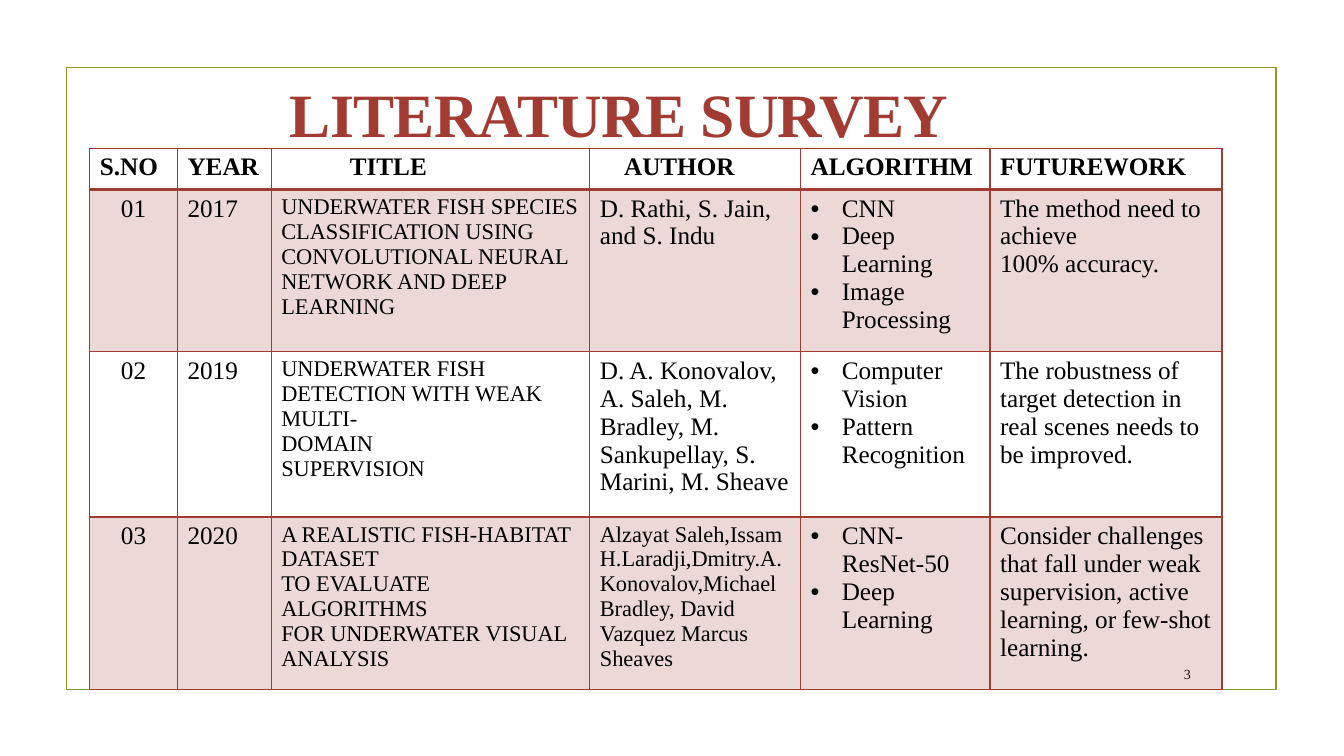
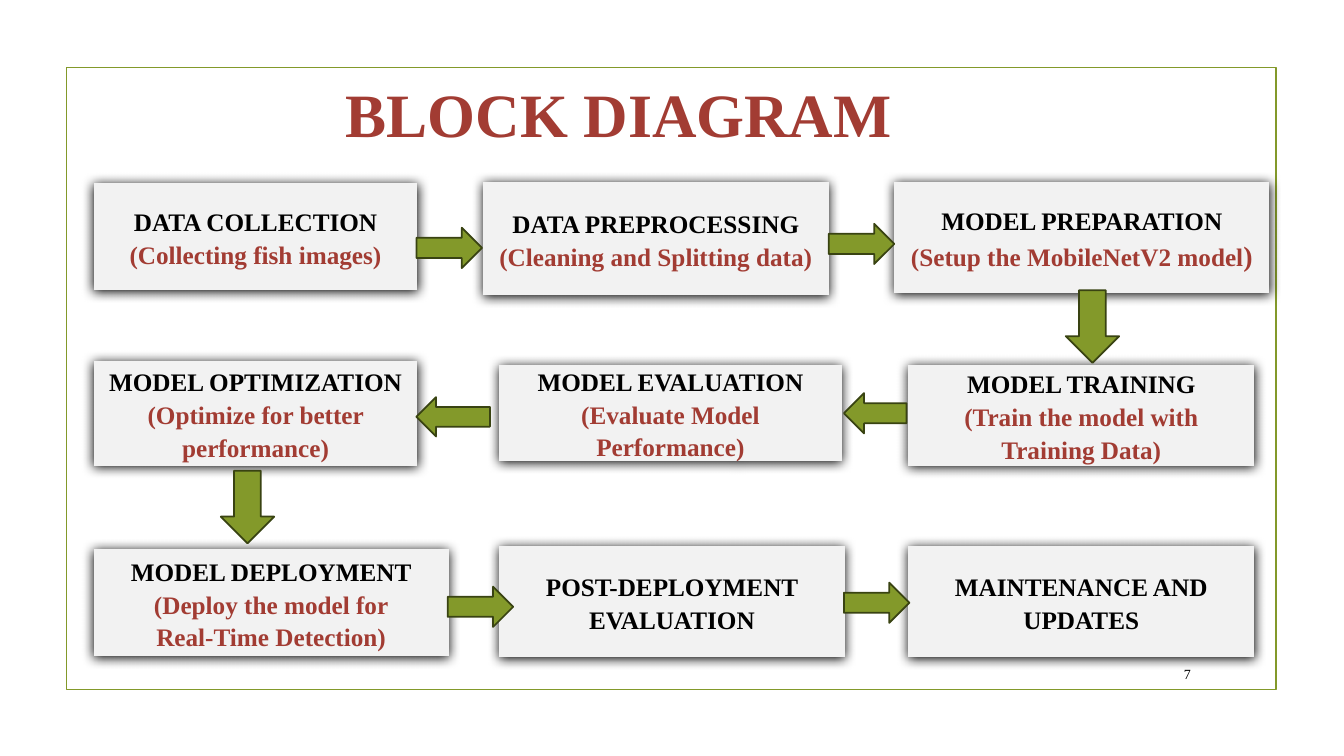
from dataclasses import dataclass

import lxml.etree
import pptx
import pptx.dml.color
import pptx.enum.shapes
import pptx.enum.text
import pptx.oxml.ns
import pptx.util

Inches = pptx.util.Inches
Pt = pptx.util.Pt
qn = pptx.oxml.ns.qn
Shape = pptx.enum.shapes.MSO_SHAPE
Align = pptx.enum.text.PP_ALIGN
Anchor = pptx.enum.text.MSO_ANCHOR

FONT = "Times New Roman"
RED, GREEN, DARK_GREEN = "A23C33", "83992A", "394312"
GREY, BLACK = "F2F2F2", "000000"


@dataclass(frozen=True)
class Column:
    heading: str
    width: float
    size: int = 18
    heading_indent: float = 0
    align: Align = Align.LEFT
    bullet: bool = False


@dataclass(frozen=True)
class Step:
    at: tuple[float, float, float, float]
    name: str
    details: tuple[str, ...] = ()
    closing: str = ""


@dataclass(frozen=True)
class Arrow:
    kind: Shape
    at: tuple[float, float, float, float]


COLUMNS = [
    Column("S.NO", 0.87, align=Align.CENTER),
    Column("YEAR", 0.93),
    Column("TITLE", 3.16, size=16, heading_indent=0.68),
    Column("AUTHOR", 2.09, heading_indent=0.24),
    Column("ALGORITHM", 1.88, bullet=True),
    Column("FUTUREWORK", 2.3),
]
ROW_HEIGHTS = [0.41, 1.61, 1.64, 1.71]
LONG_AUTHOR_LIST = 80
# Each line of a cell is a paragraph.
PAPERS = [
    ("01", "2017",
     "UNDERWATER FISH SPECIES CLASSIFICATION USING CONVOLUTIONAL NEURAL NETWORK AND DEEP LEARNING",
     "D. Rathi, S. Jain, and S. Indu",
     "CNN\nDeep Learning\nImage Processing",
     "The method need to achieve\n100% accuracy."),
    ("02", "2019",
     "UNDERWATER FISH DETECTION WITH WEAK MULTI-\nDOMAIN\nSUPERVISION",
     "D. A. Konovalov, A. Saleh, M. Bradley, M. Sankupellay, S. Marini, M. Sheave",
     "Computer Vision\nPattern Recognition",
     "The robustness of target detection in real scenes needs to be improved."),
    ("03", "2020",
     "A REALISTIC FISH‑HABITAT DATASET\nTO EVALUATE ALGORITHMS\nFOR UNDERWATER VISUAL ANALYSIS",
     "Alzayat Saleh,Issam H.Laradji,Dmitry.A.Konovalov,Michael Bradley, David\n"
     "Vazquez Marcus Sheaves",
     "CNN-ResNet-50\nDeep Learning",
     "Consider challenges that fall under weak supervision, active learning, or few-shot learning."),
]

STEPS = [
    Step((0.93, 1.82, 3.21, 1.06), "DATA COLLECTION", ("(Collecting fish images)",)),
    Step((4.79, 1.81, 3.43, 1.12), "DATA PREPROCESSING", ("(Cleaning and Splitting data)",)),
    Step((8.87, 1.81, 3.72, 1.1), "MODEL PREPARATION", ("(Setup the MobileNetV2 model",), ")"),
    Step((9.01, 3.62, 3.43, 1), "MODEL TRAINING", ("(Train the model with Training Data)",)),
    Step((4.95, 3.62, 3.4, 0.95), "MODEL EVALUATION", ("(Evaluate Model Performance)",)),
    Step((0.93, 3.58, 3.21, 1.04), "MODEL OPTIMIZATION", ("(Optimize for better performance)",)),
    Step((0.93, 5.45, 3.52, 1.06), "MODEL DEPLOYMENT",
         ("(Deploy the model for", "Real-Time Detection)")),
    Step((4.95, 5.42, 3.43, 1.1), "POST-DEPLOYMENT EVALUATION"),
    Step((9.01, 5.42, 3.43, 1.1), "MAINTENANCE AND UPDATES"),
]
ARROWS = [
    Arrow(Shape.RIGHT_ARROW, (4.13, 2.26, 0.65, 0.4)),
    Arrow(Shape.RIGHT_ARROW, (8.22, 2.22, 0.65, 0.4)),
    Arrow(Shape.DOWN_ARROW, (10.57, 2.88, 0.53, 0.72)),
    Arrow(Shape.LEFT_ARROW, (8.37, 3.9, 0.62, 0.4)),
    Arrow(Shape.LEFT_ARROW, (4.13, 3.94, 0.73, 0.39)),
    Arrow(Shape.DOWN_ARROW, (2.19, 4.67, 0.53, 0.72)),
    Arrow(Shape.RIGHT_ARROW, (4.44, 5.82, 0.65, 0.4)),
    Arrow(Shape.RIGHT_ARROW, (8.37, 5.78, 0.65, 0.4)),
]


def rgb(color: str) -> pptx.dml.color.RGBColor:
    return pptx.dml.color.RGBColor.from_string(color)


def add_xml(parent, tag: str, **attributes):
    child = lxml.etree.SubElement(parent, qn(tag))
    for name, value in attributes.items():
        child.set(name, str(value))
    return child


def add_text(tf, text: str, *, size: float = 18, color: str = BLACK, bold: bool = False,
             align: Align = Align.LEFT, line_spacing: float | None = None,
             tracking: float = 0, indent: float = 0, bullet: bool = False,
             new_line: bool = True) -> None:
    """Add a paragraph, or with new_line=False a run at the end of the last one."""
    p = tf.add_paragraph() if new_line and tf.text else tf.paragraphs[-1]
    if new_line:
        p.alignment = align
        if line_spacing:
            p.line_spacing = line_spacing
        pPr = p._p.get_or_add_pPr()
        if indent:
            pPr.set("marL", str(Inches(indent)))
        if bullet:
            pPr.set("indent", str(-Inches(indent)))
            add_xml(pPr, "a:buFont", typeface="Arial")
            add_xml(pPr, "a:buChar", char="•")
    r = p.add_run()
    r.text = text
    r.font.name, r.font.size, r.font.bold = FONT, Pt(size), bold
    r.font.color.rgb = rgb(color)
    if tracking:
        r._r.get_or_add_rPr().set("spc", str(round(tracking * 100)))


def add_box(s, kind: Shape, at: tuple[float, float, float, float], *,
            fill: str | None = None, line: str | None = None):
    sp = s.shapes.add_shape(kind, *map(Inches, at))
    sp.shadow.inherit = False
    if fill:
        sp.fill.solid()
        sp.fill.fore_color.rgb = rgb(fill)
    else:
        sp.fill.background()
    if line:
        sp.line.color.rgb = rgb(line)
        sp.line.width = Pt(1.25)
    else:
        sp.line.fill.background()
    return sp


def add_slide(prs, title: str, number: int, tracking: float = 0):
    """Add a slide with the shared frame, title and page number."""
    s = prs.slides.add_slide(prs.slide_layouts[5])
    add_box(s, Shape.RECTANGLE, (0.66, 0.67, 12, 6.17), line=GREEN)

    heading = s.shapes.title
    heading.left, heading.top = Inches(0.89), Inches(0.4)
    heading.width, heading.height = Inches(10.5), Inches(1.43)
    page = s.shapes.add_textbox(*map(Inches, (11.32, 6.53, 0.59, 0.31)))
    for sp in (heading, page):
        tf = sp.text_frame
        tf.word_wrap = True
        tf.auto_size = pptx.enum.text.MSO_AUTO_SIZE.NONE
        tf.vertical_anchor = Anchor.MIDDLE
    add_text(heading.text_frame, title, size=44, color=RED, bold=True,
             align=Align.CENTER, tracking=tracking)
    add_text(page.text_frame, str(number), size=10, align=Align.RIGHT)
    return s


def style_cell(cell, row: int) -> None:
    """Tint the odd rows and rule all four sides, thicker under the header."""
    tcPr = cell._tc.get_or_add_tcPr()
    widths = {"a:lnL": 1, "a:lnR": 1, "a:lnT": 2 if row == 1 else 1, "a:lnB": 2 if row == 0 else 1}
    for tag, width in widths.items():
        ln = add_xml(tcPr, tag, w=Pt(width))
        add_xml(add_xml(ln, "a:solidFill"), "a:srgbClr", val=RED)
    if row % 2:
        tint = add_xml(add_xml(tcPr, "a:solidFill"), "a:srgbClr", val=RED)
        add_xml(tint, "a:alpha", val=20000)
    else:
        add_xml(tcPr, "a:noFill")


def add_survey_table(s) -> None:
    frame = s.shapes.add_table(len(ROW_HEIGHTS), len(COLUMNS), Inches(0.89), Inches(1.47),
                               Inches(sum(c.width for c in COLUMNS)), Inches(sum(ROW_HEIGHTS)))
    table = frame.table
    table.horz_banding = False
    for row, height in zip(table.rows, ROW_HEIGHTS):
        row.height = Inches(height)
    for col, column in enumerate(COLUMNS):
        table.columns[col].width = Inches(column.width)
        header = table.cell(0, col)
        style_cell(header, 0)
        add_text(header.text_frame, column.heading, bold=True, indent=column.heading_indent)
        for row, paper in enumerate(PAPERS, start=1):
            cell = table.cell(row, col)
            style_cell(cell, row)
            long_authors = column.heading == "AUTHOR" and len(paper[col]) > LONG_AUTHOR_LIST
            for line in paper[col].split("\n"):
                add_text(cell.text_frame, line, size=16 if long_authors else column.size,
                         align=column.align, bullet=column.bullet,
                         indent=0.31 if column.bullet else 0)


def add_step(s, step: Step) -> None:
    sp = add_box(s, Shape.FLOWCHART_PROCESS, step.at, fill=GREY)
    effects = sp._element.spPr.find(qn("a:effectLst"))
    shadow = add_xml(effects, "a:outerShdw", blurRad=Pt(8.5), dist=Pt(1), dir=90 * 60000,
                     algn="t", rotWithShape=0)
    add_xml(shadow, "a:srgbClr", val=BLACK)
    tf = sp.text_frame
    tf.word_wrap = True
    tf.vertical_anchor = Anchor.MIDDLE
    style = dict(bold=True, align=Align.CENTER, line_spacing=1.08)
    add_text(tf, step.name, **style)
    for detail in step.details:
        add_text(tf, detail, color=RED, **style)
    if step.closing:
        add_text(tf, step.closing, size=20, color=RED, bold=True, new_line=False)


def main() -> None:
    prs = pptx.Presentation()
    prs.slide_width, prs.slide_height = Inches(13.33), Inches(7.5)

    add_survey_table(add_slide(prs, "LITERATURE SURVEY", 3, tracking=-0.5))

    diagram = add_slide(prs, "BLOCK DIAGRAM", 7)
    for step in STEPS:
        add_step(diagram, step)
    for arrow in ARROWS:
        add_box(diagram, arrow.kind, arrow.at, fill=GREEN, line=DARK_GREEN)

    prs.save("out.pptx")


if __name__ == "__main__":
    main()
